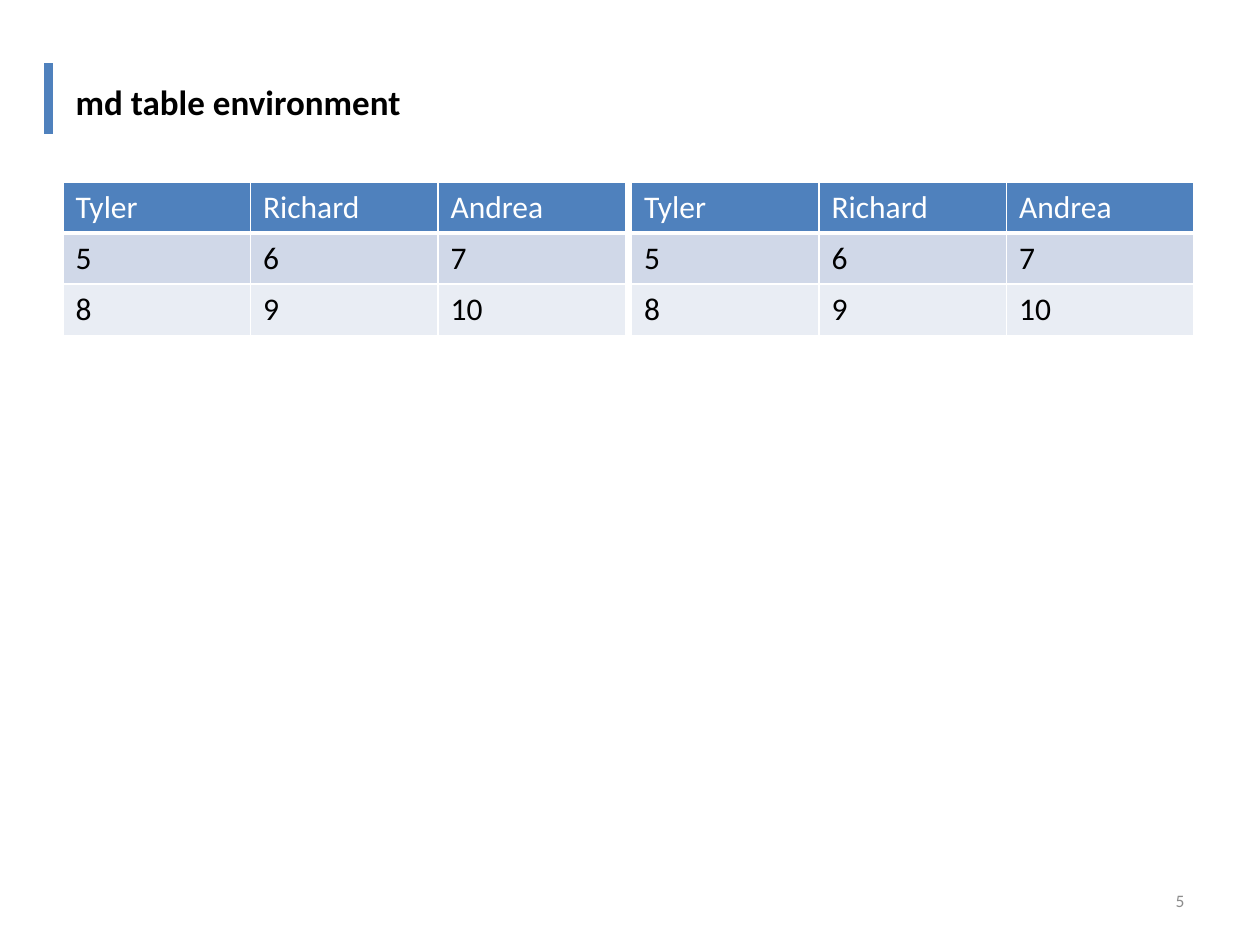
from lxml.etree import SubElement
from pptx import Presentation
from pptx.dml.color import RGBColor
from pptx.enum.shapes import MSO_CONNECTOR
from pptx.enum.text import MSO_ANCHOR, MSO_AUTO_SIZE, PP_ALIGN
from pptx.oxml.ns import qn
from pptx.util import Cm, Pt

BLUE = RGBColor(0x4F, 0x81, 0xBD)
BAND_DARK = RGBColor(0xD0, 0xD8, 0xE8)
BAND_LIGHT = RGBColor(0xE9, 0xED, 0xF4)
GRAY = RGBColor(0x8C, 0x8C, 0x8C)
BLACK = RGBColor(0, 0, 0)
WHITE = RGBColor(255, 255, 255)

TABLE_ROWS = [("Tyler", "Richard", "Andrea"), ("5", "6", "7"), ("8", "9", "10")]
ROW_FILLS = [BLUE, BAND_DARK, BAND_LIGHT]
TABLE_LEFTS = [1.27, 12.73]


class SlideBuilder:
    font_name = "Calibri"
    column_width = Cm(3.78)
    row_height = Cm(1.03)

    def __init__(self, presentation):
        layout = presentation.slide_layouts.get_by_name("Title Only")
        self.slide = presentation.slides.add_slide(layout)

    def set_text(self, text_frame, text, size, color, bold=False, align=PP_ALIGN.LEFT):
        text_frame.text = text
        paragraph = text_frame.paragraphs[0]
        paragraph.alignment = align
        font = paragraph.runs[0].font
        formats = {"name": self.font_name, "size": Pt(size), "bold": bold}
        for attribute, value in formats.items():
            setattr(font, attribute, value)
        font.color.rgb = color

    def place_text(self, shape, box, text, **style):
        edges = ("left", "top", "width", "height")
        for edge, length in zip(edges, box):
            setattr(shape, edge, Cm(length))
        frame = shape.text_frame
        formats = {
            "word_wrap": True,
            "auto_size": MSO_AUTO_SIZE.NONE,
            "vertical_anchor": MSO_ANCHOR.MIDDLE,
        }
        for attribute, value in formats.items():
            setattr(frame, attribute, value)
        self.set_text(frame, text, **style)

    def title(self, text, box):
        self.place_text(self.slide.shapes.title, box, text, size=20, color=BLACK, bold=True)

    def page_number(self, text, box):
        shape = self.slide.shapes.add_textbox(0, 0, 0, 0)
        self.place_text(shape, box, text, size=10, color=GRAY, align=PP_ALIGN.RIGHT)

    def accent_bar(self, x, top, bottom):
        bar = self.slide.shapes.add_connector(
            MSO_CONNECTOR.STRAIGHT, Cm(x), Cm(top), Cm(x), Cm(bottom)
        )
        bar.line.color.rgb = BLUE
        bar.line.width = Pt(5)
        SubElement(bar._element.spPr, qn("a:effectLst"))

    def cell_borders(self, cell, bottom_width):
        properties = cell._tc.get_or_add_tcPr()
        widths = {"a:lnL": 1, "a:lnR": 1, "a:lnT": 1, "a:lnB": bottom_width}
        for tag, width in widths.items():
            border = SubElement(properties, qn(tag), w=str(Pt(width)))
            fill = SubElement(border, qn("a:solidFill"))
            SubElement(fill, qn("a:srgbClr"), val=str(WHITE))

    def table(self, left, top, rows):
        columns = len(rows[0])
        table = self.slide.shapes.add_table(
            len(rows), columns, Cm(left), Cm(top),
            self.column_width * columns, self.row_height * len(rows),
        ).table
        for row_index, (texts, fill) in enumerate(zip(rows, ROW_FILLS)):
            is_header = row_index == 0
            for column_index, text in enumerate(texts):
                cell = table.cell(row_index, column_index)
                self.cell_borders(cell, bottom_width=3 if is_header else 1)
                cell.fill.solid()
                cell.fill.fore_color.rgb = fill
                self.set_text(cell.text_frame, text, 18, WHITE if is_header else BLACK)


def main():
    presentation = Presentation()
    presentation.slide_width = Cm(25.4)
    presentation.slide_height = Cm(19.05)

    builder = SlideBuilder(presentation)
    builder.page_number("5", (22.91, 17.65, 1.22, 1.02))
    builder.accent_bar(0.98, 1.27, 2.7)
    builder.title("md table environment", (1.27, 1.45, 22.86, 1.2))
    for left in TABLE_LEFTS:
        builder.table(left, 3.67, TABLE_ROWS)

    presentation.save("out.pptx")


if __name__ == "__main__":
    main()
